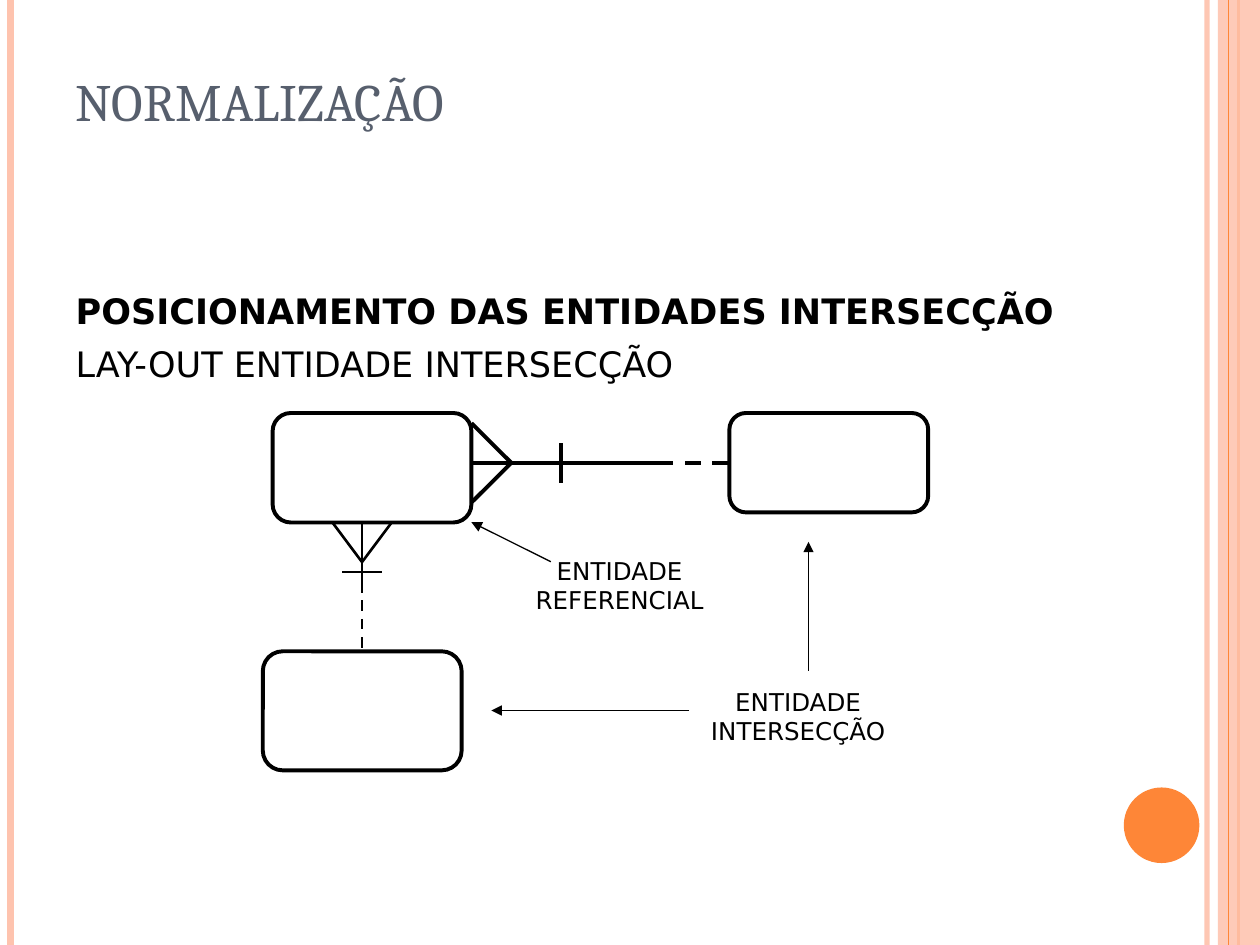
from pptx import Presentation
from pptx.util import Pt
from pptx.dml.color import RGBColor
from pptx.enum.dml import MSO_LINE
from pptx.enum.shapes import MSO_CONNECTOR, MSO_SHAPE
from pptx.enum.text import MSO_ANCHOR, PP_ALIGN
from pptx.oxml.ns import qn
from lxml.etree import SubElement


def paint(color, shade):
    color.rgb = RGBColor.from_string(shade)


def link(x1, y1, x2, y2, width, shade="000000", dash=False, arrow=False, alpha=100):
    line = slide.shapes.add_connector(
        MSO_CONNECTOR.STRAIGHT, Pt(x1), Pt(y1), Pt(x2), Pt(y2))
    line.line.width = Pt(width)
    paint(line.line.color, shade)
    if dash:
        line.line.dash_style = MSO_LINE.DASH
    props = line._element.spPr
    if alpha < 100:
        tone = props.find(".//" + qn("a:srgbClr"))
        SubElement(tone, qn("a:alpha"), val=str(alpha * 1000))
    if arrow:
        SubElement(props.find(qn("a:ln")), qn("a:tailEnd"), type="triangle")
    SubElement(props, qn("a:effectLst"))


deck = Presentation()
deck.slide_width, deck.slide_height = Pt(720), Pt(540)
slide = deck.slides.add_slide(deck.slide_layouts[1])

link(689.8, 0, 689.8, 540, 3, "FEC3AE", alpha=93)
link(6, 0, 6, 540, 4.5, "FEC3AE")
link(707.8, 0, 707.8, 540, 1.5, "FE8637")
for kind, x, y, w, h, shade, alpha in [
    (MSO_SHAPE.RECTANGLE, 696, 0, 24, 540, "FEC3AE", 87),
    (MSO_SHAPE.OVAL, 642.2, 450, 43.2, 43.2, "FE8637", 100),
]:
    decor = slide.shapes.add_shape(kind, Pt(x), Pt(y), Pt(w), Pt(h))
    decor.shadow.inherit = False
    decor.fill.solid()
    paint(decor.fill.fore_color, shade)
    decor.line.fill.background()
    if alpha < 100:
        tone = decor._element.spPr.find(".//" + qn("a:srgbClr"))
        SubElement(tone, qn("a:alpha"), val=str(alpha * 1000))
link(702, 0, 702, 540, 0.75, "FE8637")

title = slide.shapes.title
title.left, title.top, title.width, title.height = Pt(36), Pt(21.6), Pt(588), Pt(90)
title.text = "NORMALIZAÇÃO"
title.text_frame.vertical_anchor = MSO_ANCHOR.TOP
head = title.text_frame.paragraphs[0]
head.alignment = PP_ALIGN.LEFT
head.line_spacing = 1.4
head.font.name, head.font.size = "Cambria", Pt(30)
paint(head.font.color, "575F6D")

body = slide.placeholders[1]
body.left, body.top, body.width, body.height = Pt(36), Pt(162), Pt(648), Pt(62.6)
body.text = "POSICIONAMENTO DAS ENTIDADES INTERSECÇÃO\nLAY-OUT ENTIDADE INTERSECÇÃO"
for row, para in enumerate(body.text_frame.paragraphs):
    props = para._p.get_or_add_pPr()
    props.set("marL", "0")
    props.set("indent", "0")
    SubElement(props, qn("a:buNone"))
    para.space_before = Pt(6 * row)
    para.font.name, para.font.size = "DejaVu Sans", Pt(20)
    para.font.bold = row == 0
    paint(para.font.color, "000000")

for x, y, w, h in [
    (155.8, 236, 113.6, 62.6),
    (416.8, 236, 113.6, 56.8),
    (150.2, 372.2, 113.6, 68),
]:
    box = slide.shapes.add_shape(
        MSO_SHAPE.FLOWCHART_ALTERNATE_PROCESS, Pt(x), Pt(y), Pt(w), Pt(h))
    box.shadow.inherit = False
    box.fill.background()
    box.line.width = Pt(2.25)
    paint(box.line.color, "000000")

for y in (241.8, 287.2):
    link(269.4, y, 292.2, 264.5, 2.25)
link(269.4, 264.5, 377.2, 264.5, 2.25)
link(297.4, 264.5, 416.8, 264.5, 2.25, dash=True)
link(320.4, 253.4, 320.4, 276, 2.25)

for x in (190, 223.8):
    link(x, 298.6, 206.9, 321.2, 1.5)
link(206.9, 298.6, 206.9, 337.8, 1.5)
link(206.9, 332.6, 206.9, 372.2, 1.5, dash=True)
link(195.6, 326.9, 218.2, 326.9, 1.5)

for text, x, y, w in [
    ("ENTIDADE REFERENCIAL", 297.6, 314, 113),
    ("ENTIDADE INTERSECÇÃO", 393.8, 388.8, 124.6),
]:
    label = slide.shapes.add_textbox(Pt(x), Pt(y), Pt(w), Pt(41))
    label.text_frame.word_wrap = True
    label.text_frame.text = text
    para = label.text_frame.paragraphs[0]
    para.alignment = PP_ALIGN.CENTER
    para.font.name, para.font.size = "DejaVu Sans", Pt(14)
    paint(para.font.color, "000000")

for ends in [
    (314.8, 321, 269.4, 298.4),
    (393.8, 406, 280.8, 406),
    (462, 383.2, 462, 309.6),
]:
    link(*ends, 0.75, arrow=True)

deck.save("out.pptx")
